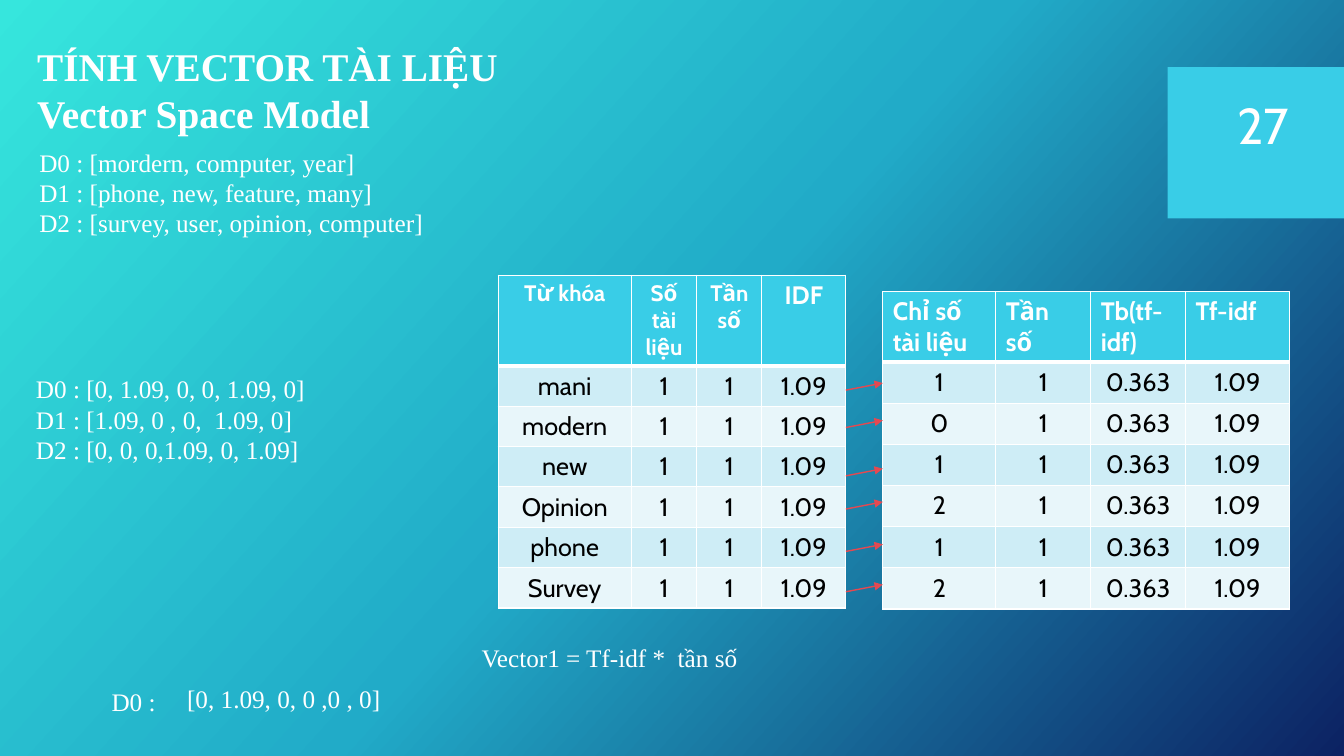
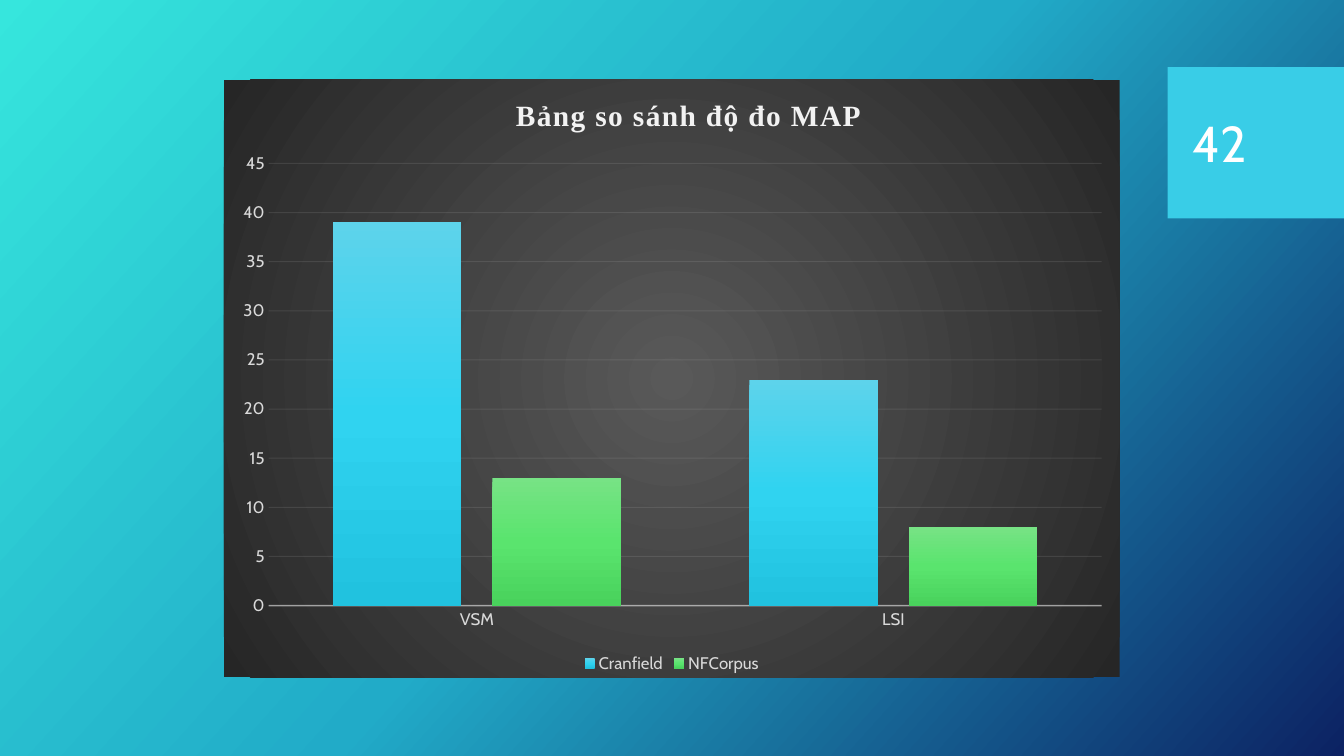
"""Build two slides on document vectors and on retrieval scores."""
from lxml import etree
from pptx import Presentation
from pptx import util as u
from pptx.chart.data import CategoryChartData
from pptx.dml.color import RGBColor
from pptx.enum import chart as charts, shapes, text
from pptx.oxml import parse_xml
from pptx.oxml.ns import nsdecls, qn

WHITE = RGBColor(0xFF, 0xFF, 0xFF)
BLACK = RGBColor(0x00, 0x00, 0x00)
CYAN = RGBColor(0x39, 0xCD, 0xE7)
BANDS = RGBColor(0xCE, 0xED, 0xF6), RGBColor(0xE8, 0xF6, 0xFA)
RED = RGBColor(0xE4, 0x49, 0x51)
PALE = RGBColor(0xF2, 0xF2, 0xF2)
SILVER = RGBColor(0xD9, 0xD9, 0xD9)
BACKDROP = (RGBColor(0x36, 0xE6, 0xDD), RGBColor(0x21, 0xAB, 0xC8),
            RGBColor(0x0C, 0x22, 0x63))
CHART_GREY = RGBColor(0x59, 0x59, 0x59), RGBColor(0x26, 0x26, 0x26)
BAR_BLUE = (RGBColor(0x5D, 0xD3, 0xEB), RGBColor(0x30, 0xD3, 0xF0),
            RGBColor(0x21, 0xC2, 0xDF))
BAR_GREEN = (RGBColor(0x77, 0xE3, 0x85), RGBColor(0x5A, 0xE4, 0x6E),
             RGBColor(0x49, 0xD2, 0x5C))
SERIF, SANS = "Times New Roman", "Cabin"
COLUMNS, ROWS = 32, 18
CENTER = text.PP_ALIGN.CENTER


def write(frame, words, *, size=18, font=SERIF, color=WHITE, bold=False,
          align=None):
    """Fill a text frame with one paragraph per line of words."""
    for index, line in enumerate(words.split("\n")):
        para = frame.add_paragraph() if index else frame.paragraphs[0]
        para.alignment = align
        span = para.add_run()
        span.text = line
        style(span.font, size, font, color, bold)


def style(target, size, name, color, bold=False):
    """Set the size, typeface, colour and weight of a font."""
    target.size, target.name, target.bold = u.Pt(size), name, bold
    target.color.rgb = color


def gradient(colors, angle=None):
    """Return an evenly spaced gradient, circular when it has no angle."""
    stops = "".join(
        f'<a:gs pos="{index * 100000 // (len(colors) - 1)}">'
        f'<a:srgbClr val="{color}"/></a:gs>'
        for index, color in enumerate(colors))
    if angle is None:
        course = ('<a:path path="circle"><a:fillToRect l="50000" t="50000" '
                  'r="50000" b="50000"/></a:path>')
    else:
        course = f'<a:lin ang="{angle * 60000}" scaled="0"/>'
    return parse_xml(f'<a:gradFill {nsdecls("a")} rotWithShape="1">'
                     f'<a:gsLst>{stops}</a:gsLst>{course}</a:gradFill>')


def swap_fill(owner, fill):
    """Replace the solid fill of a properties element."""
    owner.replace(owner.find(qn("a:solidFill")), fill)


def fade(element, percent):
    """Make every colour below an element partly transparent."""
    for color in element.iter(qn("a:srgbClr")):
        etree.SubElement(color, qn("a:alpha"), val=str(percent * 1000))


def arrange(element, index, **shares):
    """Place a chart part by shares of the chart's size."""
    for old in element.findall(qn("c:layout")):
        element.remove(old)
    layout = etree.Element(qn("c:layout"))
    manual = etree.SubElement(layout, qn("c:manualLayout"))
    if "w" in shares:
        etree.SubElement(manual, qn("c:layoutTarget"), val="inner")
    for key in "xy":
        etree.SubElement(manual, qn(f"c:{key}Mode"), val="edge")
    for key, share in shares.items():
        etree.SubElement(manual, qn(f"c:{key}"), val=str(share))
    element.insert(index, layout)


class Slides:
    """Hold the shared style and the current page."""

    def __init__(self):
        """Start a wide deck with the gradient backdrop."""
        self.deck = Presentation()
        self.deck.slide_width, self.deck.slide_height = u.Inches(13.33), u.Inches(7.5)
        master = self.deck.slide_master
        master.background.fill.solid()
        swap_fill(next(master.element.iter(qn("p:bgPr"))), gradient(BACKDROP, 42))

    def x(self, columns):
        """Turn grid columns into a length."""
        return round(self.deck.slide_width * columns / COLUMNS)

    def y(self, rows):
        """Turn grid rows into a length."""
        return round(self.deck.slide_height * rows / ROWS)

    def area(self, left, top, width, height):
        """Turn a grid area into lengths."""
        return self.x(left), self.y(top), self.x(width), self.y(height)

    def start(self, number, left, top):
        """Add a page with its number on the cyan band."""
        self.page = self.deck.slides.add_slide(self.deck.slide_layouts[6])
        band = self.page.shapes.add_shape(
            shapes.MSO_SHAPE.RECTANGLE, *self.area(27.8, 1.6, 4.2, 3.6))
        band.shadow.inherit = False
        band.fill.solid()
        band.fill.fore_color.rgb = CYAN
        band.line.fill.background()
        self.text(number, left, top, 3.02, 2.86, wrap=True, size=36, font=SANS,
                  anchor=text.MSO_ANCHOR.MIDDLE)

    def text(self, words, left, top, width, height, wrap=False,
             anchor=text.MSO_ANCHOR.TOP, **look):
        """Add a text box."""
        box = self.page.shapes.add_textbox(*self.area(left, top, width, height))
        box.text_frame.word_wrap = wrap
        box.text_frame.vertical_anchor = anchor
        write(box.text_frame, words, **look)

    def table(self, left, top, widths, head_height, row_height, head, body,
              head_sizes, head_align=None):
        """Add a banded table with white rules."""
        heights = [head_height] + [row_height] * len(body)
        table = self.page.shapes.add_table(
            len(heights), len(widths),
            *self.area(left, top, sum(widths), sum(heights))).table
        table.horz_banding = False
        for column, width in zip(table.columns, widths):
            column.width = self.x(width)
        for r, (height, values) in enumerate(zip(heights, [head, *body])):
            table.rows[r].height = self.y(height)
            for c, value in enumerate(values):
                cell = table.cell(r, c)
                self.rules(cell, top=3 if r == 1 else 1, bottom=1 if r else 3)
                cell.fill.solid()
                cell.fill.fore_color.rgb = BANDS[(r - 1) % 2] if r else CYAN
                write(cell.text_frame, value, font=SANS, bold=not r,
                      size=18 if r else head_sizes[c],
                      color=BLACK if r else WHITE,
                      align=CENTER if r else head_align)

    def rules(self, cell, top, bottom):
        """Draw the four white borders of a cell."""
        properties = cell._tc.get_or_add_tcPr()
        for side, points in zip("LRTB", (1, 1, top, bottom)):
            line = etree.SubElement(properties, qn(f"a:ln{side}"),
                                    w=str(u.Pt(points)))
            fill = etree.SubElement(line, qn("a:solidFill"))
            etree.SubElement(fill, qn("a:srgbClr"), val=str(WHITE))

    def arrow(self, left, top, right, bottom):
        """Add a thin red arrow."""
        arrow = self.page.shapes.add_connector(
            shapes.MSO_CONNECTOR.STRAIGHT, *self.area(left, top, right, bottom))
        arrow.line.color.rgb = RED
        arrow.line.width = u.Pt(1)
        etree.SubElement(arrow.line._get_or_add_ln(), qn("a:tailEnd"),
                         type="triangle")
        etree.SubElement(arrow._element.spPr, qn("a:effectLst"))

    def columns(self, title, categories, series, place, top_value, step):
        """Add a column chart on a dark panel."""
        data = CategoryChartData()
        data.categories = categories
        for name, values, _ in series:
            data.add_series(name, values)
        chart = self.page.shapes.add_chart(
            charts.XL_CHART_TYPE.COLUMN_CLUSTERED, *self.area(*place), data).chart
        style(chart.font, 10, SANS, WHITE)
        panel = etree.Element(qn("c:spPr"))
        panel.append(gradient(CHART_GREY))
        chart._chartSpace.chart.addnext(panel)

        write(chart.chart_title.text_frame, title, size=21, color=PALE, bold=True)
        heading = chart.chart_title._element
        next(heading.iter(qn("a:rPr"))).set("spc", "100")
        arrange(heading, 1, x=0.32, y=0.02)
        arrange(chart._chartSpace.chart.plotArea, 0, x=0.05, y=0.14, w=0.93, h=0.74)

        plot = chart.plots[0]
        plot.gap_width, plot.overlap, plot.vary_by_categories = 100, -24, False
        for bars, (_, _, colors) in zip(plot.series, series):
            bars.format.fill.solid()
            swap_fill(bars._element.spPr, gradient(colors, 90))

        scale, names = chart.value_axis, chart.category_axis
        scale.minimum_scale, scale.maximum_scale, scale.major_unit = 0, top_value, step
        scale.format.line.fill.background()
        for axis, line, points, percent in (
                (scale, scale.major_gridlines.format.line, 0.75, 10),
                (names, names.format.line, 1, 54)):
            line.color.rgb = PALE
            line.width = u.Pt(points)
            fade(axis._element, percent)
            axis.major_tick_mark = charts.XL_TICK_MARK.NONE
            style(axis.tick_labels.font, 12, SANS, SILVER)
        chart.has_legend = True
        chart.legend.position = charts.XL_LEGEND_POSITION.BOTTOM
        chart.legend.include_in_layout = False
        style(chart.legend.font, 12, SANS, SILVER)


def vector_page(slides):
    """Show how document vectors follow from the keyword tables."""
    slides.start("27", 29.23, 1.54)
    slides.text("TÍNH VECTOR TÀI LIỆU\nVector Space Model", 0.65, 0.89, 25.3, 2.5,
                wrap=True, size=28, bold=True)
    slides.text("D0 : [0, 1.09, 0, 0, 1.09, 0]\nD1 : [1.09, 0 , 0,  1.09, 0]\n"
                "D2 : [0, 0, 0,1.09, 0, 1.09]", 0.62, 8.78, 6.94, 2.42)
    slides.text("D0 : [mordern, computer, year]\nD1 : [phone, new, feature, many]\n"
                "D2 : [survey, user, opinion, computer]", 0.7, 3.38, 9.72, 2.42)
    slides.table(21.02, 6.94, (2.69, 2.26, 2.26, 2.47), 1.66, 0.98,
                 ("Chỉ số tài liệu", "Tần số", "Tb(tf-idf)", "Tf-idf"),
                 [(document, "1", "0.363", "1.09") for document in "101212"],
                 (18, 18, 18, 18))
    keywords = "mani", "modern", "new", "Opinion", "phone", "Survey"
    slides.table(11.86, 6.55, (3.17, 1.56, 1.55, 2), 2.16, 0.96,
                 ("Từ khóa", "Số tài liệu", "Tần số", "IDF"),
                 [(keyword, "1", "1", "1.09") for keyword in keywords],
                 (16, 16, 16, 18), head_align=CENTER)
    for top in (9.29, 10.18, 11.33, 12.12, 13.13, 14.09):
        slides.arrow(20.14, top, 21.02, top - 0.17)
    slides.text("[0, 1.09, 0, 0 ,0 , 0]", 4.22, 16.15, 5.14, 0.96)
    slides.text("Vector1 = Tf-idf *  tần số", 11.23, 15.17, 6.65, 0.96)
    slides.text("D0 :", 2.42, 16.22, 1.58, 0.96)


def score_page(slides):
    """Compare the MAP scores of both models."""
    slides.start("42", 28.15, 1.97)
    slides.columns("Bảng so sánh độ đo MAP", ("VSM", "LSI"),
                   (("Cranfield", (39, 23), BAR_BLUE),
                    ("NFCorpus", (13, 8), BAR_GREEN)),
                   (5.33, 1.9, 21.33, 14.23), top_value=45, step=5)


def main():
    """Build and save the deck."""
    slides = Slides()
    vector_page(slides)
    score_page(slides)
    slides.deck.save("out.pptx")


if __name__ == "__main__":
    main()
